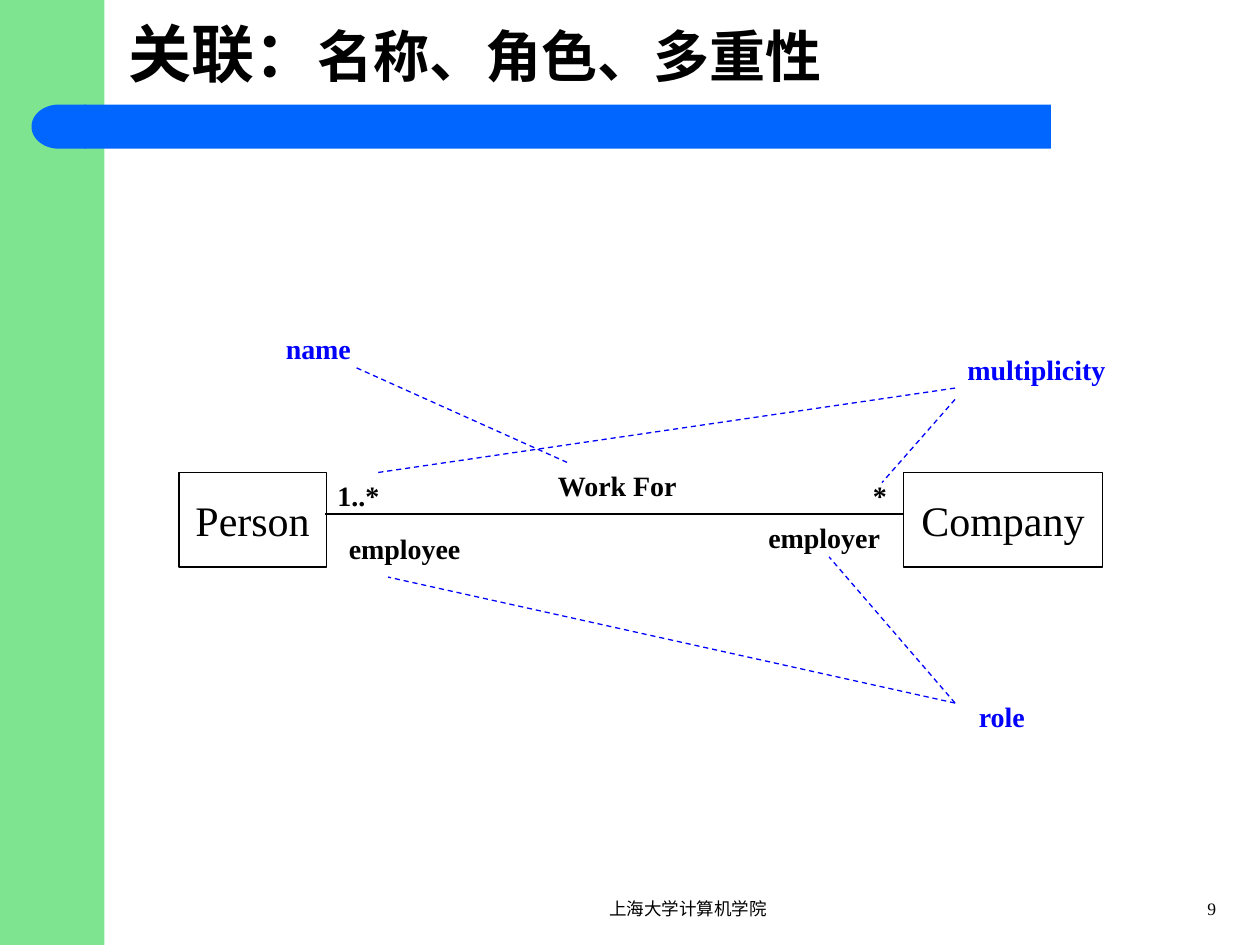
from dataclasses import dataclass
from typing import Any

from lxml import etree
from pptx import Presentation
from pptx.dml.color import RGBColor
from pptx.enum import dml, shapes, text
from pptx.oxml import ns
from pptx.util import Inches, Pt

BLACK = RGBColor(0x00, 0x00, 0x00)
LABEL_BLUE = RGBColor(0x00, 0x00, 0xFF)
BAR_BLUE = RGBColor(0x00, 0x66, 0xFF)
GREEN = RGBColor(0x7E, 0xE4, 0x8F)

SHAPE = shapes.MSO_SHAPE
ALIGN = text.PP_ALIGN
ANCHOR = text.MSO_ANCHOR


@dataclass
class Diagram:
    page: Any
    font: str = "Times New Roman"
    line_width: float = 0.75

    def fill_text(self, box, spans, color=BLACK, bold=False, align=ALIGN.LEFT,
                  anchor=ANCHOR.TOP, wrap=True):
        """Fill a box with one paragraph of (words, size) spans."""
        frame = box.text_frame
        frame.word_wrap = wrap
        frame.vertical_anchor = anchor
        para = frame.paragraphs[0]
        para.alignment = align
        for words, size in spans:
            span = para.add_run()
            span.text = words
            span.font.color.rgb = color
            style = {"name": self.font, "size": Pt(size), "bold": bold}
            for key, value in style.items():
                setattr(span.font, key, value)

    def band(self, kind, place, color):
        """Add a filled shape without an outline."""
        shape = self.page.shapes.add_shape(kind, *map(Inches, place))
        shape.shadow.inherit = False
        shape.fill.solid()
        shape.fill.fore_color.rgb = color
        shape.line.fill.background()
        return shape

    def entity(self, name, place):
        """Add an outlined class box."""
        box = self.page.shapes.add_shape(SHAPE.RECTANGLE, *map(Inches, place))
        box.shadow.inherit = False
        box.fill.background()
        box.line.color.rgb = BLACK
        box.line.width = Pt(self.line_width)
        self.fill_text(box, [(name, 24)], align=ALIGN.CENTER,
                       anchor=ANCHOR.MIDDLE, wrap=False)

    def words(self, place, spans, **style):
        """Add a text box."""
        box = self.page.shapes.add_textbox(*map(Inches, place))
        self.fill_text(box, spans, **style)

    def label(self, name, left, top, width, color=BLACK):
        """Add a bold diagram label."""
        self.words((left, top, width, 0.37), [(name, 16)], color=color, bold=True)

    def link(self, start, end, color=LABEL_BLUE, dash=dml.MSO_LINE.DASH):
        """Add a straight line, dashed unless told otherwise."""
        line = self.page.shapes.add_connector(
            shapes.MSO_CONNECTOR.STRAIGHT, *map(Inches, (*start, *end)))
        line.line.color.rgb = color
        line.line.width = Pt(self.line_width)
        line.line.dash_style = dash
        etree.SubElement(line._element.spPr, ns.qn("a:effectLst"))


def main():
    deck = Presentation()
    deck.slide_width, deck.slide_height = Inches(10), Inches(7.5)
    diagram = Diagram(deck.slides.add_slide(deck.slide_layouts[6]))

    # Side band and title bar with a rounded left end
    diagram.band(SHAPE.RECTANGLE, (0, 0, 0.83, 7.5), GREEN)
    diagram.band(SHAPE.RECTANGLE, (0.67, 0.83, 7.67, 0.35), BAR_BLUE)
    bar_end = diagram.band(SHAPE.FLOWCHART_DELAY, (0.25, 0.83, 0.43, 0.35), BAR_BLUE)
    bar_end.rotation = 180

    # Title
    diagram.words((0.92, 0, 8.67, 0.83), [("关联：", 36), ("名称、角色、多重性", 32)],
                  bold=True, anchor=ANCHOR.MIDDLE)

    # Classes and their association
    diagram.entity("Person", (1.42, 3.75, 1.17, 0.75))
    diagram.entity("Company", (7.17, 3.75, 1.58, 0.75))
    diagram.link((2.58, 4.08), (7.17, 4.08), BLACK, dml.MSO_LINE.SOLID)

    # Labels on the association
    for name, left, top, width in [
        ("Work For", 4.33, 3.67, 1.25),
        ("employee", 2.67, 4.17, 1.33),
        ("employer", 6, 4.08, 1.17),
        ("*", 6.83, 3.75, 0.5),
        ("1..*", 2.58, 3.75, 0.83),
    ]:
        diagram.label(name, left, top, width)

    # Explanations, each with dashed lines to what it explains
    for name, left, top, width, links in [
        ("name", 2.17, 2.58, 0.83, [((2.83, 2.92), (4.5, 3.67))]),
        ("role", 7.67, 5.5, 0.67, [((7.58, 5.58), (3.08, 4.58)),
                                   ((7.58, 5.58), (6.58, 4.42))]),
        ("multiplicity", 7.58, 2.75, 1.5, [((7.58, 3.08), (3, 3.75)),
                                           ((7.58, 3.17), (7, 3.83))]),
    ]:
        diagram.label(name, left, top, width, LABEL_BLUE)
        for start, end in links:
            diagram.link(start, end)

    # Footer and page number
    diagram.words((3.75, 7.08, 3.42, 0.25), [("上海大学计算机学院", 10)], align=ALIGN.CENTER)
    diagram.words((9, 7.08, 0.75, 0.25), [("9", 10)], align=ALIGN.RIGHT)

    deck.save("out.pptx")


if __name__ == "__main__":
    main()
